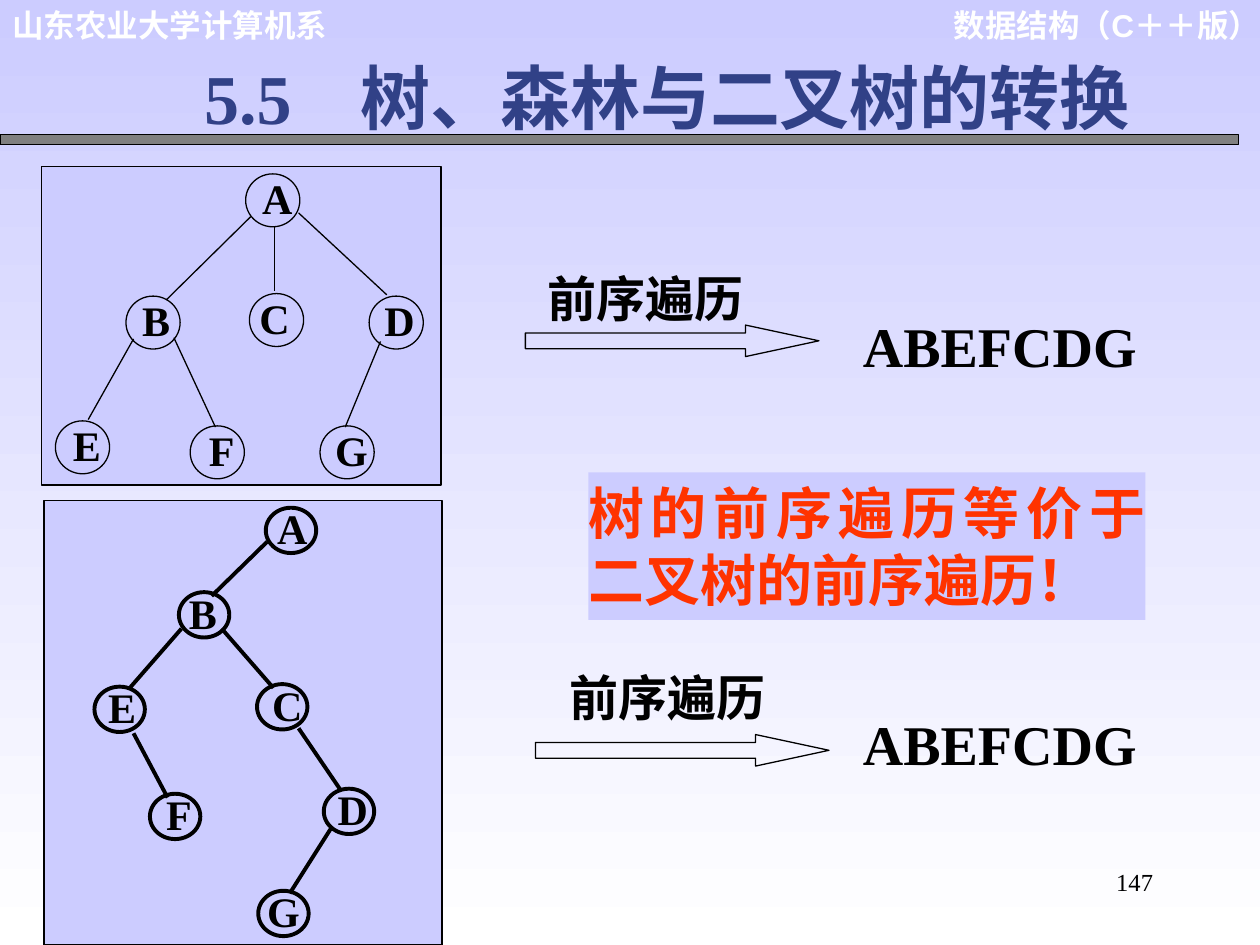
from lxml import etree
from pptx import Presentation
from pptx import util as u
from pptx.dml.color import RGBColor
from pptx.enum import shapes, text
from pptx.oxml.ns import qn

COLS, ROWS = 100, 75
WIDE, HIGH = u.Inches(10), u.Inches(7.5)
SERIF, SANS = "Times New Roman", "Arial"
BLACK, WHITE, PALE = "000000", "FFFFFF", "CCCCFF"
LEFT, MID, RIGHT, FULL = (text.PP_ALIGN.LEFT, text.PP_ALIGN.CENTER,
                          text.PP_ALIGN.RIGHT, text.PP_ALIGN.JUSTIFY)
FORM = shapes.MSO_SHAPE

# Node: column, row of the ring, shift of its letter in columns
TREE = {"A": (19.5, 13.8, 0.7), "B": (10, 23.5, 0.6), "C": (19.8, 23.3, 0.2),
        "D": (29.3, 23.5, 0.6), "E": (4.4, 33.4, 0.7), "F": (15.1, 33.8, 0.7),
        "G": (25.4, 33.8, 0.7)}
TREE_EDGES = [(19.9, 17.2, 13.2, 23.8), (10.6, 26.9, 7, 33.3),
              (13.8, 26.8, 17.1, 33.9), (23.7, 16.9, 30.7, 23.4),
              (30.2, 27.1, 27.4, 33.9), (21.8, 18, 21.8, 23.1)]
BINARY = {"A": (21.1, 40.3, 0.4), "B": (14.2, 47, 0.2), "C": (20.4, 54.3, 0.7),
          "D": (25.7, 62.6, 0.6), "E": (7.5, 54.5, 0.5), "F": (11.9, 63, 0.6),
          "G": (20.5, 70.7, 0.3)}
BINARY_EDGES = [(21.2, 43, 16.8, 47.3), (14.4, 49.9, 10.3, 54.6),
                (17.6, 49.9, 21.7, 54.6), (10.6, 58.2, 13.3, 63.3),
                (26.3, 65.7, 23, 70.9), (23.7, 57.8, 27.1, 62.8)]


def hue(code):
    return RGBColor.from_string(code)


def grid(*cells):
    """Turn alternating columns and rows into lengths."""
    units = (WIDE / COLS, HIGH / ROWS)
    return [u.Emu(round(c * units[i % 2])) for i, c in enumerate(cells)]


def write(shape, words, size, color=BLACK, align=LEFT, bold=True, font=SERIF,
          pads=(0.1, 0.05, 0.1, 0.05), tab=None):
    frame = shape.text_frame
    frame.word_wrap = True
    frame.auto_size = text.MSO_AUTO_SIZE.NONE
    frame.vertical_anchor = text.MSO_ANCHOR.TOP
    (frame.margin_left, frame.margin_top,
     frame.margin_right, frame.margin_bottom) = map(u.Inches, pads)
    para = frame.paragraphs[0]
    para.alignment = align
    if tab:
        stops = etree.SubElement(para._p.get_or_add_pPr(), qn("a:tabLst"))
        etree.SubElement(stops, qn("a:tab"), pos=str(grid(tab)[0]), algn="l")
    run = para.add_run()
    run.text = words
    run.font.size, run.font.bold, run.font.name = u.Pt(size), bold, font
    run.font.color.rgb = hue(color)


def label(group, place, words, size, **style):
    write(group.add_textbox(*grid(*place)), words, size, **style)


def draw(group, form, place, fill=None, line=BLACK, width=0.75):
    shape = group.add_shape(form, *grid(*place))
    shape.shadow.inherit = False
    if fill:
        shape.fill.solid()
        shape.fill.fore_color.rgb = hue(fill)
    else:
        shape.fill.background()
    if line:
        shape.line.color.rgb = hue(line)
        shape.line.width = u.Pt(width)
    else:
        shape.line.fill.background()
    return shape


def edge(group, ends, width):
    line = group.add_connector(shapes.MSO_CONNECTOR.STRAIGHT, *grid(*ends))
    line.line.color.rgb = hue(BLACK)
    line.line.width = u.Pt(width)
    etree.SubElement(line._element.spPr, qn("a:effectLst"))


def tree(slide, panel, nodes, edges, ring, tag, rise, pads, width):
    """Draw a panel with ringed letters joined by edges."""
    group = slide.shapes.add_group_shape().shapes
    draw(group, FORM.RECTANGLE, panel, PALE)
    for name, (col, row, shift) in nodes.items():
        label(group, (col + shift, row - rise, *tag), name, 24,
              align=MID, pads=pads)
        draw(group, FORM.OVAL, (col, row, *ring), width=width)
    for ends in edges:
        edge(group, ends, width)


def step(slide, arrow, place):
    """Draw a traversal arrow with its caption."""
    group = slide.shapes.add_group_shape().shapes
    shape = draw(group, FORM.RIGHT_ARROW, (*arrow, 23.3, 2.5))
    shape.adjustments[0], shape.adjustments[1] = 0.5, 2.33
    label(group, place, "前序遍历", 28)


def shade(slide):
    fill = slide.background.fill
    fill.gradient()
    fill.gradient_angle = 270
    for stop, code in zip(fill.gradient_stops, (PALE, WHITE)):
        stop.color.rgb = hue(code)


def head(slide):
    label(slide.shapes, (73.9, 0, 27.1, 7), "数据结构（C＋＋版）", 18,
          color=WHITE, align=RIGHT, font=SANS)
    label(slide.shapes, (0, 0, 27.1, 4), "山东农业大学计算机系", 18,
          color=WHITE, font=SANS)
    draw(slide.shapes, FORM.RECTANGLE, (0, 10.7, 98.3, 0.8), "808080")
    title = slide.shapes.title
    title.left, title.top, title.width, title.height = grid(15.2, 3.8, 77.1, 7.7)
    write(title, "5.5\t树、森林与二叉树的转换", 40, "314187", FULL, tab=12.4)


def main():
    deck = Presentation()
    deck.slide_width, deck.slide_height = WIDE, HIGH
    slide = deck.slides.add_slide(deck.slide_layouts[5])
    shade(slide)
    head(slide)
    label(slide.shapes, (71.7, 68.3, 20.8, 5), "147", 14,
          align=RIGHT, bold=False)
    tree(slide, (3.3, 13.2, 31.7, 25.3), TREE, TREE_EDGES, (4.3, 4.2),
         (3.6, 5), 0.8, (0.04, 0.07, 0.04, 0.01), 0.75)
    tree(slide, (3.5, 39.7, 31.6, 35.3), BINARY, BINARY_EDGES, (4, 3.6),
         (3.4, 4.4), 0.7, (0.02, 0.03, 0.02, 0.01), 2.25)
    step(slide, (41.7, 25.8), (42.5, 20.8, 19.2, 5.7))
    step(slide, (42.5, 58.3), (44.2, 52.5, 18.3, 5.7))
    for row in (24.2, 55.8):
        label(slide.shapes, (67.5, row, 26.7, 6.4), "ABEFCDG", 32)
    note = draw(slide.shapes, FORM.RECTANGLE, (46.7, 37.5, 44.2, 11.7),
                PALE, line=None)
    write(note, "树的前序遍历等价于二叉树的前序遍历！", 32, "FF3300", FULL,
          pads=(0, 0.05, 0, 0.05))
    deck.save("out.pptx")


if __name__ == "__main__":
    main()
